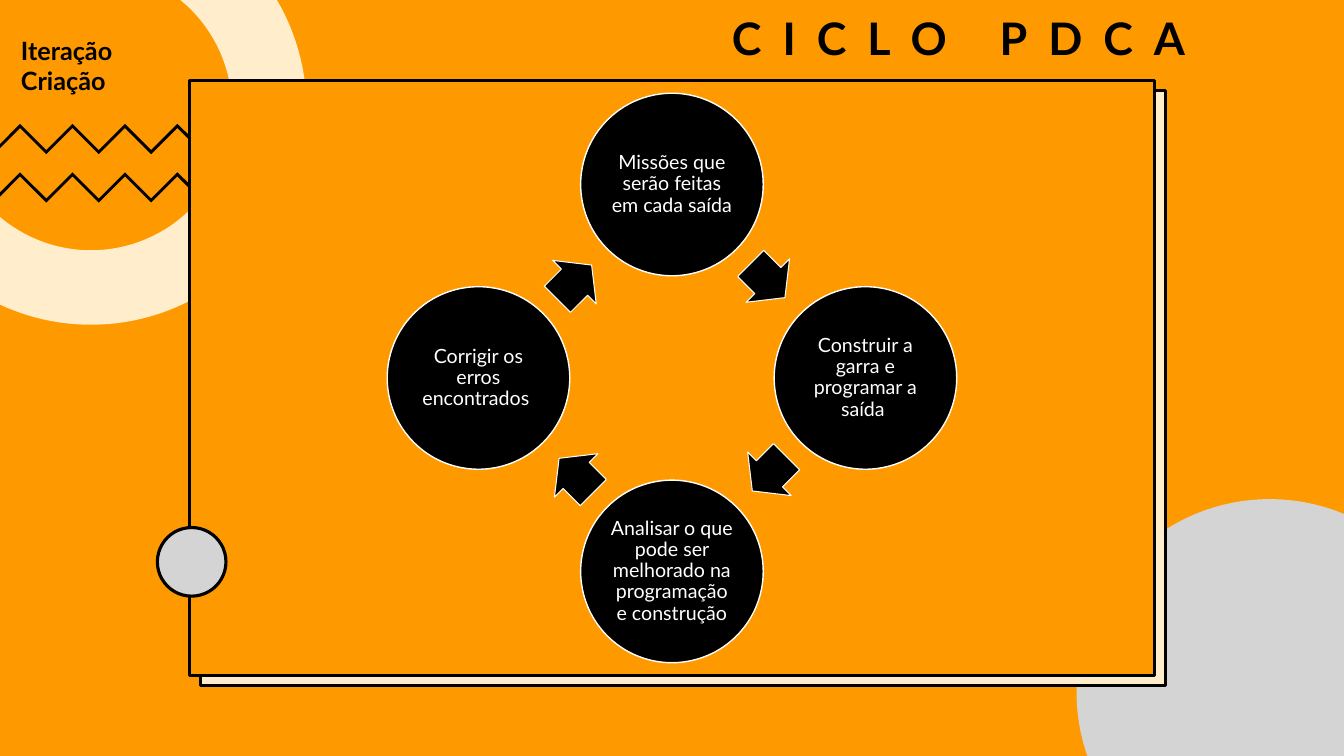
from math import acos, asin, cos, degrees, radians, sin

from pptx import Presentation
from pptx.dml.color import RGBColor
from pptx.enum.shapes import MSO_SHAPE
from pptx.enum.text import MSO_ANCHOR, PP_ALIGN
from pptx.util import Pt

ORANGE = RGBColor(0xFF, 0x99, 0x00)
CREAM = RGBColor(0xFF, 0xED, 0xCC)
GREY = RGBColor(0xD4, 0xD4, 0xD4)
BLACK = RGBColor(0x00, 0x00, 0x00)
WHITE = RGBColor(0xFF, 0xFF, 0xFF)
FONT = "Lato"
WIDTH, HEIGHT = 960, 540


def arc(center_x, center_y, radius, start, end, steps=60):
    angles = [radians(start + (end - start) * i / steps) for i in range(steps + 1)]
    return [(center_x + radius * cos(a), center_y + radius * sin(a)) for a in angles]


def style(shape, fill, line=None, weight=0):
    shape.shadow.inherit = False
    shape.fill.solid()
    shape.fill.fore_color.rgb = fill
    if line is None:
        shape.line.fill.background()
    else:
        shape.line.color.rgb = line
        shape.line.width = Pt(weight)


deck = Presentation()
deck.slide_width, deck.slide_height = Pt(WIDTH), Pt(HEIGHT)
page = deck.slides.add_slide(deck.slide_layouts[6])
page.background.fill.solid()
page.background.fill.fore_color.rgb = ORANGE

outlines = []
step = 18.72
for top in (88.5, 123.1):
    ridge = [(14.4 + step * i, top + step * (i % 2)) for i in range(7)]
    underside = [(x, y + 2.9) for x, y in reversed(ridge)]
    tail = [(146.9, top + 19.4), (144.7, top + 20.9)]
    left_end = [(0, top + 17.3), (0, top + 14.4)]
    outlines.append((BLACK, ridge + tail + underside + left_end))

ring_x, ring_y = 65, 78
outer, inner = [
    arc(ring_x, ring_y, radius, -degrees(asin(ring_y / radius)), 180 - degrees(acos(ring_x / radius)))
    for radius in (154, 100.8)
]
outlines.append((CREAM, outer + inner[::-1]))

disc_x, disc_y, disc_radius = 907, 494.5, 138
disc_start = 180 - degrees(asin((HEIGHT - disc_y) / disc_radius))
disc_end = 360 - degrees(acos((WIDTH - disc_x) / disc_radius))
disc = arc(disc_x, disc_y, disc_radius, disc_start, disc_end)
outlines.append((GREY, disc + [(WIDTH, HEIGHT)]))

for color, points in outlines:
    corners = [(Pt(x), Pt(y)) for x, y in points]
    builder = page.shapes.build_freeform(*corners[0], scale=1.0)
    builder.add_line_segments(corners[1:], close=True)
    style(builder.convert_to_shape(), color)

for kind, left, top, width, height, fill in (
    (MSO_SHAPE.RECTANGLE, 143.1, 64.6, 689.5, 425.3, CREAM),
    (MSO_SHAPE.RECTANGLE, 135.4, 57.3, 689.5, 425.3, ORANGE),
    (MSO_SHAPE.OVAL, 112.4, 376.8, 49, 49, GREY),
):
    style(page.shapes.add_shape(kind, Pt(left), Pt(top), Pt(width), Pt(height)), fill, BLACK, 2.25)

for lines, left, top, width, height, size, align, anchor, spacing, tracking in (
    (["CICLO PDCA"], 173.5, 0, 680.4, 50.4, 32, PP_ALIGN.RIGHT, MSO_ANCHOR.BOTTOM, 0.9, 15),
    (["Iteração", "Criação"], 7.9, 21.8, 119.5, 51, 18, PP_ALIGN.LEFT, MSO_ANCHOR.TOP, 1.0, 0),
):
    box = page.shapes.add_textbox(Pt(left), Pt(top), Pt(width), Pt(height))
    frame = box.text_frame
    frame.word_wrap = True
    frame.vertical_anchor = anchor
    for index, line in enumerate(lines):
        para = frame.add_paragraph() if index else frame.paragraphs[0]
        para.alignment = align
        para.line_spacing = spacing
        span = para.add_run()
        span.text = line
        span.font.name = FONT
        span.font.size = Pt(size)
        span.font.bold = True
        span.font.color.rgb = BLACK
        if tracking:
            span.font._element.set("spc", str(tracking * 100))

cycle_x, cycle_y, orbit = 480, 270, 138.2
diameter = 130.4
arrow_orbit, arrow_width, arrow_height = 97.6, 34.6, 44
stages = [
    "Missões que serão feitas em cada saída ",
    "Construir a garra e programar a saída ",
    "Analisar o que pode ser melhorado na programação e construção",
    "Corrigir os erros encontrados ",
]
for index, stage in enumerate(stages):
    angle = radians(90 * index - 90)
    circle = page.shapes.add_shape(
        MSO_SHAPE.OVAL,
        Pt(cycle_x + orbit * cos(angle) - diameter / 2),
        Pt(cycle_y + orbit * sin(angle) - diameter / 2),
        Pt(diameter), Pt(diameter),
    )
    style(circle, BLACK, WHITE, 1)
    frame = circle.text_frame
    frame.word_wrap = True
    frame.vertical_anchor = MSO_ANCHOR.MIDDLE
    frame.margin_left = frame.margin_right = frame.margin_top = frame.margin_bottom = Pt(1.4)
    para = frame.paragraphs[0]
    para.alignment = PP_ALIGN.CENTER
    para.line_spacing = 0.9
    span = para.add_run()
    span.text = stage
    span.font.name = FONT
    span.font.size = Pt(14)
    span.font.color.rgb = WHITE

    angle = radians(90 * index - 45.5)
    arrow = page.shapes.add_shape(
        MSO_SHAPE.RIGHT_ARROW,
        Pt(cycle_x + arrow_orbit * cos(angle) - arrow_width / 2),
        Pt(cycle_y + arrow_orbit * sin(angle) - arrow_height / 2),
        Pt(arrow_width), Pt(arrow_height),
    )
    arrow.rotation = 45 + 90 * index
    arrow.adjustments[0] = 0.6
    arrow.adjustments[1] = 0.5
    style(arrow, BLACK, WHITE, 0.75)

deck.save("out.pptx")
